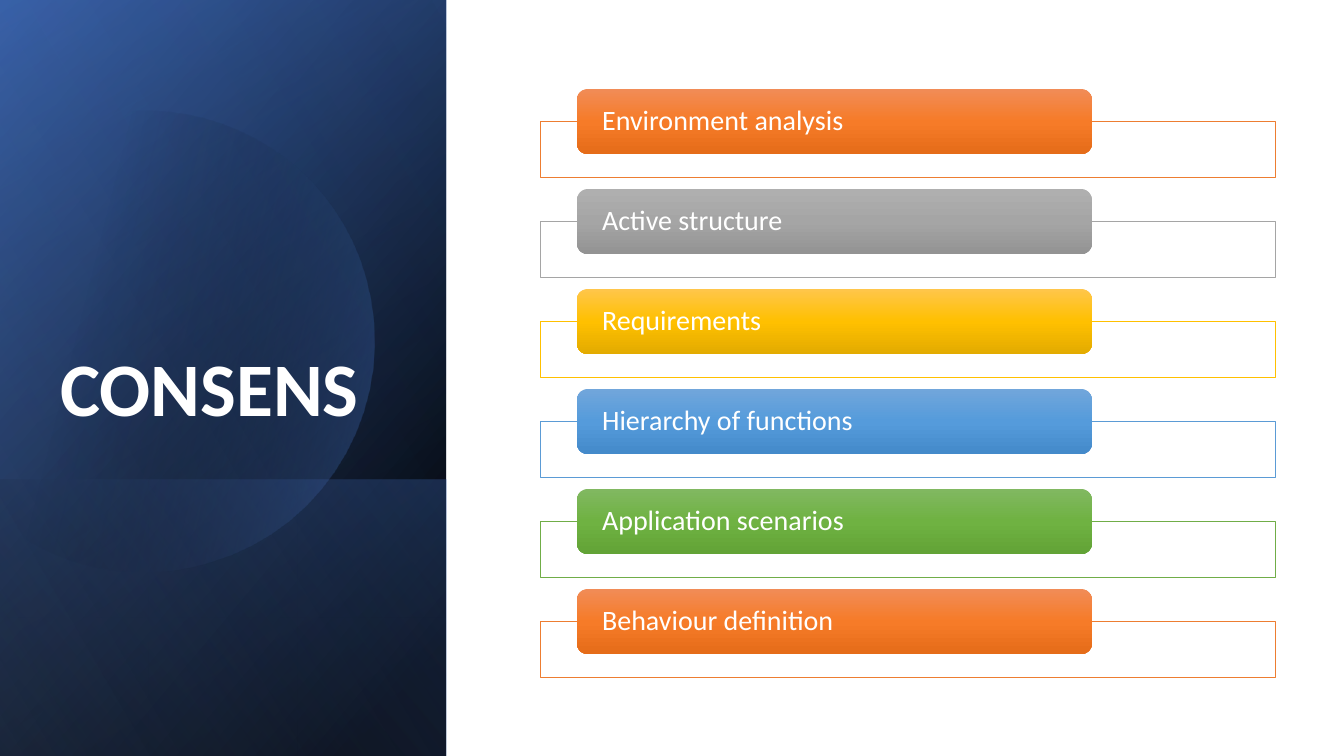
"""Build the CONSENS overview slide."""
from lxml import etree
from pptx import Presentation
from pptx.dml.color import RGBColor
from pptx.enum.shapes import MSO_SHAPE
from pptx.enum.text import MSO_ANCHOR, PP_ALIGN
from pptx.oxml import parse_xml
from pptx.oxml.ns import nsdecls, qn
from pptx.util import Emu, Pt

RECT, ROUND = MSO_SHAPE.RECTANGLE, MSO_SHAPE.ROUNDED_RECTANGLE
MIDDLE, BOTTOM = MSO_ANCHOR.MIDDLE, MSO_ANCHOR.BOTTOM
LEFT, RIGHT = PP_ALIGN.LEFT, PP_ALIGN.RIGHT

WHITE = RGBColor(0xFF, 0xFF, 0xFF)
BLACK = RGBColor(0, 0, 0)
NAVY = RGBColor(0x2F, 0x55, 0x97)
BLUE = RGBColor(0x44, 0x72, 0xC4)
PALE = RGBColor(0x8F, 0xAA, 0xDC)


def shades(*codes):
    return [RGBColor.from_string(code) for code in codes]


ORANGE = shades("ED7D31", "F18C57", "F67B28", "E56C19")
GREY = shades("A5A5A5", "AFAFAF", "A5A5A5", "939393")
GOLD = shades("FFC000", "FFC64B", "FFC000", "E3AB00")
SKY = shades("5B9BD5", "71A6DB", "559BDB", "448ACA")
GREEN = shades("70AD47", "81B861", "6FB242", "62A336")

FONT = "Calibri"
TITLE = "CONSENS"
STEPS = [
    ("Environment analysis", ORANGE),
    ("Active structure", GREY),
    ("Requirements", GOLD),
    ("Hierarchy of functions", SKY),
    ("Application scenarios", GREEN),
    ("Behaviour definition", ORANGE),
]
SIDE, WIDE, HIGH = 446, 1344, 756
LOWER = 480
BACK = [
    (0, [(8, BLACK, 100), (100, NAVY, 100)], 50),
    (0, [(0, BLACK, 0), (99, BLUE, 46)], 30),
    (LOWER, [(2, BLUE, 29), (100, BLACK, 30)], 130),
]
GLOW = (0, [(0, BLACK, 0), (99, PALE, 11)], 120)
START = (150, 111)
DISC = [
    [(248, 113), (338, 178), (366, 277)],
    [(401, 400), (331, 527), (209, 562)],
    [(132, 585), (53, 565), (-3, 518)],
    [(-15, 507)],
    [(-15, 176)],
    [(0, 162)],
    [(23, 143), (50, 129), (81, 120)],
    [(104, 114), (127, 111), (150, 111)],
]
DISC_FILL = [(29, BLACK, 0), (100, BLUE, 43)]
TOP, PITCH = 89, 100
CURVE = 16


def px(size):
    return Emu(round(size * 914400 / 100.8))


def shade(shape, stops, angle):
    fill = parse_xml(f'<a:gradFill {nsdecls("a")} rotWithShape="1"/>')
    items = etree.SubElement(fill, qn("a:gsLst"))
    for place, color, alpha in stops:
        stop = etree.SubElement(items, qn("a:gs"), pos=str(place * 1000))
        tint = etree.SubElement(stop, qn("a:srgbClr"), val=str(color))
        if alpha < 100:
            etree.SubElement(tint, qn("a:alpha"), val=str(alpha * 1000))
    etree.SubElement(fill, qn("a:lin"), ang=str(angle * 60000), scaled="0")
    shape.fill.background()
    blank = shape._element.spPr.find(qn("a:noFill"))
    blank.getparent().replace(blank, fill)
    shape.line.fill.background()
    shape.shadow.inherit = False


def add_box(shapes, kind, left, top, width, height):
    return shapes.add_shape(kind, px(left), px(top), px(width), px(height))


def add_panel(shapes, top, stops, angle):
    tall = HIGH - top
    left, upper = (SIDE - tall) / 2, top + (tall - SIDE) / 2
    panel = add_box(shapes, RECT, left, upper, tall, SIDE)
    panel.rotation = 90
    panel._element.spPr.find(qn("a:xfrm")).set("flipH", "1")
    shade(panel, stops, angle)


def add_disc(shapes):
    points = [START]
    for part in DISC:
        if len(part) == 1:
            points += part
            continue
        knots = [points[-1], *part]
        for step in range(1, CURVE + 1):
            t = step / CURVE
            u = 1 - t
            mix = (u ** 3, 3 * u * u * t, 3 * u * t * t, t ** 3)
            points.append(tuple(
                sum(m * knot[axis] for m, knot in zip(mix, knots))
                for axis in (0, 1)))
    first, *rest = [(px(x), px(y)) for x, y in points]
    pen = shapes.build_freeform(*first)
    pen.add_line_segments(rest, close=True)
    shade(pen.convert_to_shape(), DISC_FILL, 14)


def write(shape, text, size, align, anchor, bold=False):
    frame = shape.text_frame
    frame.text = text
    frame.word_wrap = True
    frame.vertical_anchor = anchor
    para = frame.paragraphs[0]
    para.alignment = align
    para.line_spacing = 0.9
    font = para.font
    font.name, font.size, font.bold = FONT, Pt(size), bold
    font.color.rgb = WHITE
    return frame


def add_step(shapes, top, text, colors):
    edge, *tints = colors
    frame = add_box(shapes, RECT, 540, top + 32, 735, 56)
    frame.fill.solid()
    frame.fill.fore_color.rgb = WHITE
    frame.line.color.rgb = edge
    frame.line.width = Pt(0.5)
    frame.shadow.inherit = False
    pill = add_box(shapes, ROUND, 577, top, 515, 65)
    shade(pill, [(50 * i, tint, 100) for i, tint in enumerate(tints)], 90)
    label = write(pill, text, 20, LEFT, MIDDLE)
    label.margin_left = label.margin_right = px(22)
    label.margin_top = label.margin_bottom = 0


def main():
    deck = Presentation()
    deck.slide_width, deck.slide_height = px(WIDE), px(HIGH)
    slide = deck.slides.add_slide(deck.slide_layouts[5])
    shapes = slide.shapes
    for panel in BACK:
        add_panel(shapes, *panel)
    add_disc(shapes)
    add_panel(shapes, *GLOW)
    title = shapes.title
    title.left, title.top, title.width, title.height = map(
        px, (25, 330, 344, 108))
    write(title, TITLE, 54, RIGHT, BOTTOM, bold=True)
    shapes._spTree.append(title._element)
    for row, (text, colors) in enumerate(STEPS):
        add_step(shapes, TOP + row * PITCH, text, colors)
    deck.save("out.pptx")


if __name__ == "__main__":
    main()
